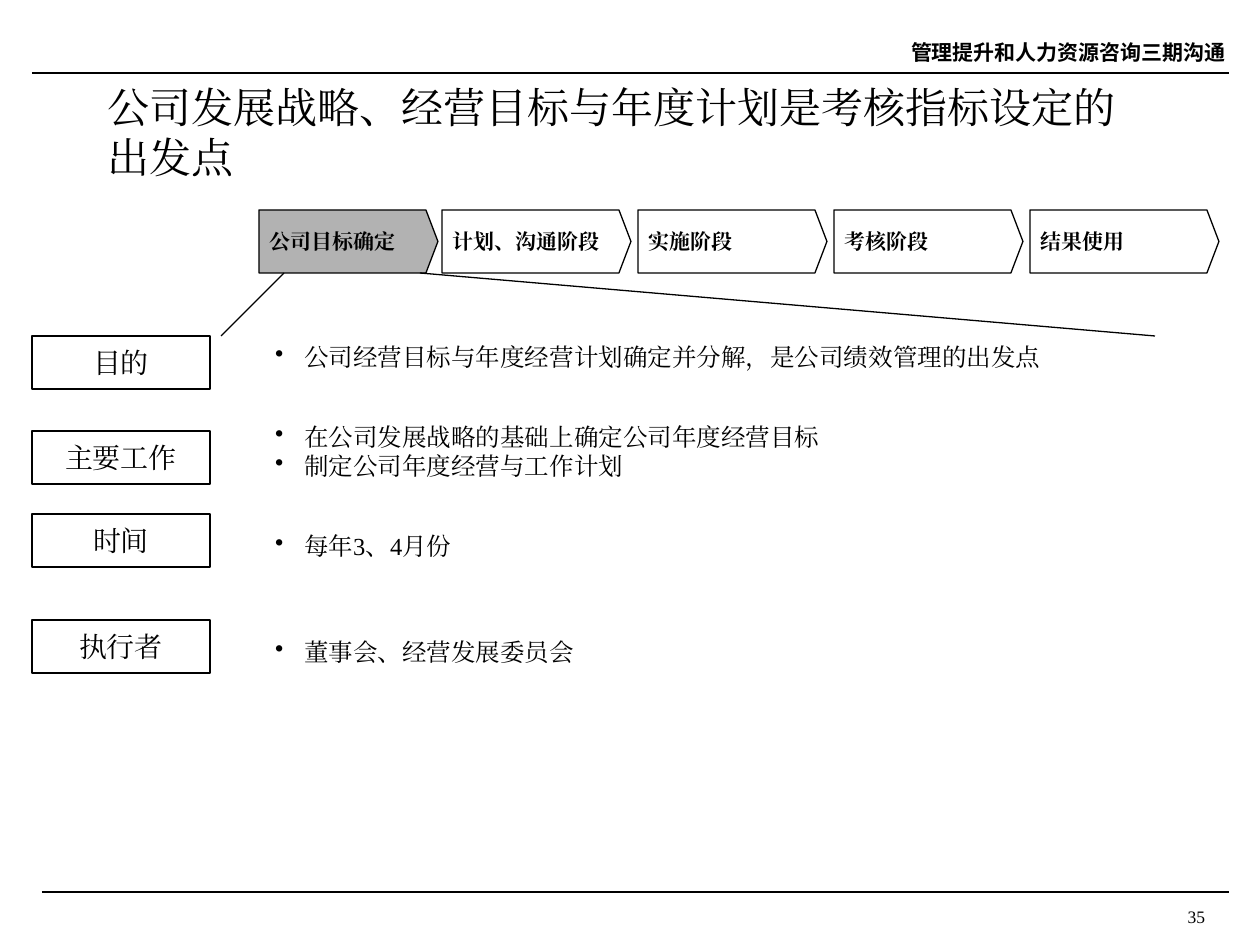
from pptx import Presentation
from pptx.dml.color import RGBColor
from pptx.enum.shapes import MSO_CONNECTOR as Connector, MSO_SHAPE as Shape
from pptx.enum.text import MSO_ANCHOR as Anchor, PP_ALIGN as Align
from pptx.oxml.ns import qn
from pptx.util import Emu, Pt
from lxml.etree import SubElement

EMU_PER_PX = 914400 / 126
COLORS = {"ink": "000000", "active": "B2B2B2"}
SERIF = "Times New Roman"
SANS = "Noto Sans CJK SC"
INSETS = (13, 6, 13, 6)
STAGE_INSETS = (11, 0, 8, 0)

STAGES = ["公司目标确定", "计划、沟通阶段", "实施阶段", "考核阶段", "结果使用"]
ROWS = [
    ("目的", 336, (336, 42), ["公司经营目标与年度经营计划确定并分解，是公司绩效管理的出发点"]),
    ("主要工作", 431, (420, 63), ["在公司发展战略的基础上确定公司年度经营目标", "制定公司年度经营与工作计划"]),
    ("时间", 514, (514, 63), ["每年3、4月份"]),
    ("执行者", 620, (620, 63), ["董事会、经营发展委员会"]),
]


def px(value):
    return Emu(round(value * EMU_PER_PX))


def color(name):
    return RGBColor.from_string(COLORS[name])


def add_bullet(paragraph, indent=29):
    properties = paragraph._p.get_or_add_pPr()
    properties.set("marL", str(px(indent)))
    properties.set("indent", str(-px(indent)))
    SubElement(properties, qn("a:buChar"), char="•")


def fill_text(shape, lines, size, align=Align.LEFT, anchor=Anchor.MIDDLE,
              insets=INSETS, wrap=True, bold=False, font=SERIF, bullets=False):
    frame = shape.text_frame
    sides = ("margin_left", "margin_top", "margin_right", "margin_bottom")
    settings = dict(zip(sides, map(px, insets)), word_wrap=wrap, vertical_anchor=anchor)
    for name, value in settings.items():
        setattr(frame, name, value)
    for index, line in enumerate(lines):
        paragraph = frame.add_paragraph() if index else frame.paragraphs[0]
        paragraph.alignment = align
        if bullets:
            add_bullet(paragraph)
        run = paragraph.add_run()
        run.text = line
        for name, value in {"name": font, "size": Pt(size), "bold": bold}.items():
            setattr(run.font, name, value)
        run.font.color.rgb = color("ink")
        SubElement(run._r.get_or_add_rPr(), qn("a:ea"), typeface=font)


def add_text(slide, box, lines, size, **formats):
    fill_text(slide.shapes.add_textbox(*map(px, box)), lines, size, **formats)


def add_line(slide, *ends):
    line = slide.shapes.add_connector(Connector.STRAIGHT, *map(px, ends))
    line.line.color.rgb = color("ink")
    line.line.width = Pt(0.75)
    SubElement(line._element.spPr, qn("a:effectLst"))


def style_outline(shape, fill=None):
    shape.shadow.inherit = False
    shape.line.color.rgb = color("ink")
    shape.line.width = Pt(0.75)
    if fill:
        shape.fill.solid()
        shape.fill.fore_color.rgb = color(fill)
    else:
        shape.fill.background()


def add_stage(slide, left, width, label, fill=None):
    top, height, tip = 210, 63, 12
    right, bottom = left + width, top + height
    corners = [(right - tip, top), (right, top + height / 2),
               (right - tip, bottom), (left, bottom)]
    builder = slide.shapes.build_freeform(px(left), px(top))
    builder.add_line_segments([(px(x), px(y)) for x, y in corners])
    stage = builder.convert_to_shape()
    style_outline(stage, fill)
    fill_text(stage, [label], 12, insets=STAGE_INSETS, bold=True)


def add_label(slide, top, label):
    box = slide.shapes.add_shape(Shape.RECTANGLE, *map(px, (32, top, 178, 53)))
    style_outline(box)
    fill_text(box, [label], 16, align=Align.CENTER, wrap=False)


def main():
    presentation = Presentation()
    presentation.slide_width, presentation.slide_height = px(1260), px(945)
    slide = presentation.slides.add_slide(presentation.slide_layouts[6])

    add_line(slide, 42, 892, 1229, 892)
    add_text(slide, (851, 21, 388, 63), ["管理提升和人力资源咨询三期沟通"], 12,
             align=Align.RIGHT, bold=True, font=SANS)
    add_line(slide, 32, 73, 1229, 73)
    add_text(slide, (95, 84, 1071, 95),
             ["公司发展战略、经营目标与年度计划是考核指标设定的出发点"], 24)

    add_stage(slide, 259, 179, STAGES[0], "active")
    for index, label in enumerate(STAGES[1:]):
        add_stage(slide, 442 + 196 * index, 189, label)

    for label, label_top, (top, height), lines in ROWS:
        add_label(slide, label_top, label)
        add_text(slide, (262, top, 903, height), lines, 14, bullets=True)

    add_line(slide, 284, 273, 221, 336)
    add_line(slide, 420, 273, 1155, 336)
    add_text(slide, (892, 900, 326, 24), ["35"], 10, align=Align.RIGHT, anchor=Anchor.TOP)
    presentation.save("out.pptx")


if __name__ == "__main__":
    main()
